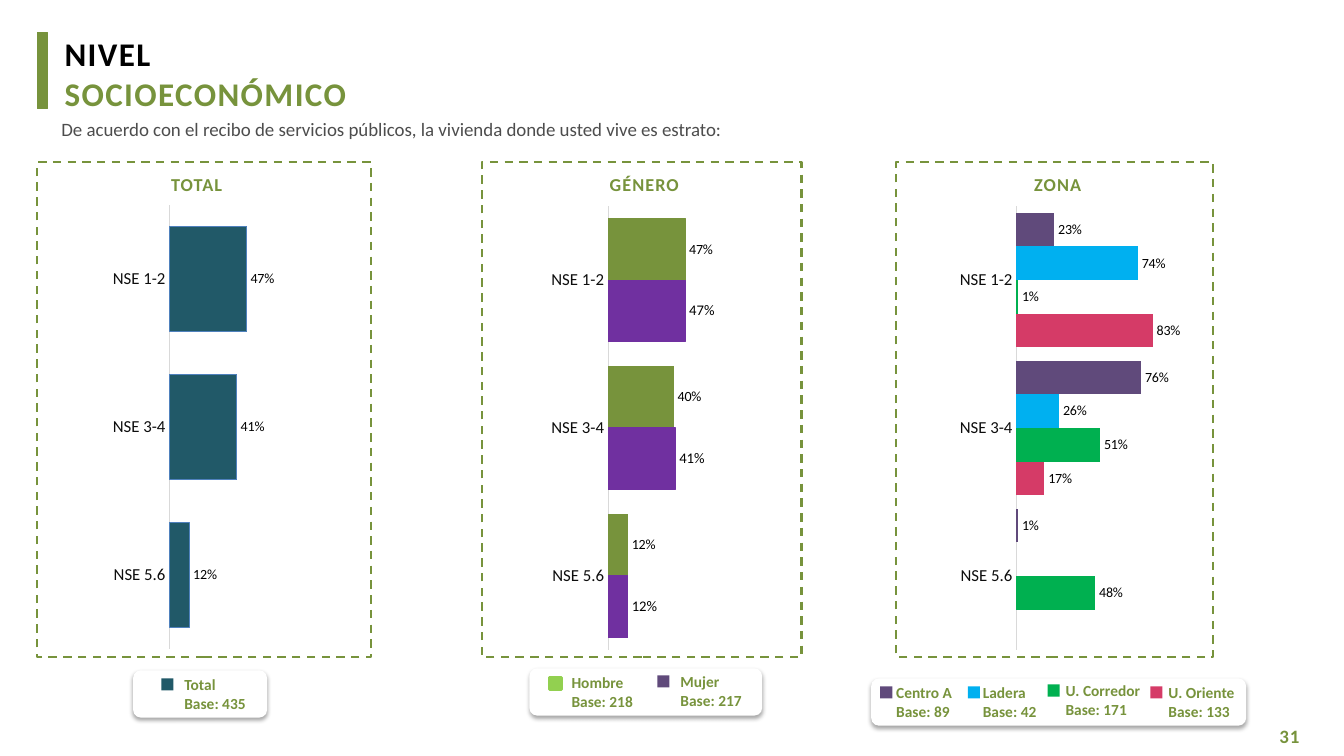
from lxml import etree
from pptx import Presentation
from pptx.chart.data import CategoryChartData
from pptx.dml.color import RGBColor
from pptx.enum.chart import XL_CHART_TYPE as ChartType, XL_LABEL_POSITION as LabelPosition
from pptx.enum.chart import XL_TICK_MARK as TickMark
from pptx.enum.dml import MSO_LINE_DASH_STYLE as DashStyle
from pptx.enum.shapes import MSO_SHAPE as Shape
from pptx.enum.text import MSO_ANCHOR as Anchor, MSO_AUTO_SIZE as AutoSize, PP_ALIGN as Align
from pptx.oxml import parse_xml
from pptx.oxml.ns import qn
from pptx.util import Inches, Pt

GREEN, PURPLE, TEAL = "77933C", "604A7B", "215968"
FONT = "Calibri"
PERCENT = "###0%"
CATEGORIES = ["NSE 1-2", "NSE 3-4", "NSE 5.6"]
PLOT_LAYOUT = {"x": 0.318, "y": 0.037, "w": 0.483, "h": 0.927}
DRAWING_NS = 'xmlns:a="http://schemas.openxmlformats.org/drawingml/2006/main"'
CHART_NS = 'xmlns:c="http://schemas.openxmlformats.org/drawingml/2006/chart"'

# Series: values, fill, outline, label size
# Legend entries: name, base, swatch colour, swatch outline, swatch (left, top), text box (left, top, width)
PANELS = [
    {"title": "TOTAL", "title_left": 0.77, "frame": (0.37, 3.31), "chart": (0.61, 1.86),
     "series": [((0.47, 0.41, 0.12), TEAL, "4F81BD", 10)],
     "legend": (1.32, 6.65, 1.33),
     "entries": [("Total", 435, TEAL, None, (1.6, 6.73), (1.73, 6.65, 0.82))]},
    {"title": "GÉNERO", "title_left": 5.21, "frame": (4.78, 3.17), "chart": (4.96, 1.87),
     "series": [((0.47, 0.40, 0.12), GREEN, GREEN, 10),
                ((0.47, 0.41, 0.12), "7030A0", "7030A0", 10.5)],
     "legend": (5.25, 6.63, 2.31),
     "entries": [("Hombre", 218, "92D050", "92D050", (5.45, 6.72), (5.57, 6.63, 0.82)),
                 ("Mujer", 217, PURPLE, None, (6.52, 6.7), (6.65, 6.62, 0.82))]},
    {"title": "ZONA", "title_left": 9.31, "frame": (8.89, 3.14), "chart": (9.01, 1.87),
     "series": [((0.23, 0.76, 0.01), PURPLE, None, 10),
                ((0.74, 0.26, None), "00B0F0", None, 10),
                ((0.01, 0.51, 0.48), "00B050", None, 10),
                ((0.83, 0.17, None), "D53B67", None, 10)],
     "legend": (8.64, 6.73, 3.72),
     "entries": [("Centro A", 89, PURPLE, None, (8.73, 6.81), (8.79, 6.73, 0.76)),
                 ("Ladera", 42, "00B0F0", None, (9.6, 6.81), (9.65, 6.73, 0.74)),
                 ("U. Corredor", 171, "00B050", None, (10.39, 6.79), (10.47, 6.71, 0.97)),
                 ("U. Oriente", 133, "D53B67", None, (11.41, 6.81), (11.49, 6.73, 0.89))]},
]


def color(hex_value):
    return RGBColor.from_string(hex_value)


def set_attributes(target, values):
    for name, value in values.items():
        setattr(target, name, value)


def set_font(font, size, hex_value, bold=False):
    set_attributes(font, {"name": FONT, "size": Pt(size), "bold": bold})
    font.color.rgb = color(hex_value)


def paint(target, fill=None, line=None, width=0.75):
    """Fill and outline a shape or a chart series."""
    if fill:
        target.fill.solid()
        target.fill.fore_color.rgb = color(fill)
    else:
        target.fill.background()
    if line:
        target.line.color.rgb = color(line)
        target.line.width = Pt(width)
    else:
        target.line.fill.background()


def write_lines(text_frame, lines, size, bold=False, spacing=0, before=0, align=Align.LEFT):
    """Write (text, colour) pairs, one paragraph each."""
    for index, (text, hex_value) in enumerate(lines):
        paragraph = text_frame.paragraphs[0] if index == 0 else text_frame.add_paragraph()
        set_attributes(paragraph, {"alignment": align, "space_before": Pt(before if index else 0)})
        run = paragraph.add_run()
        run.text = text
        set_font(run.font, size, hex_value, bold)
        if spacing:
            run.font._element.set("spc", str(round(spacing * 100)))


def format_plain_frame(text_frame):
    set_attributes(text_frame, {
        "margin_left": 0, "margin_right": 0, "margin_top": Inches(0.02), "margin_bottom": 0,
        "word_wrap": True, "vertical_anchor": Anchor.TOP, "auto_size": AutoSize.NONE})


def add_label(slide, box, text, size, hex_value, **text_format):
    text_box = slide.shapes.add_textbox(*map(Inches, box))
    format_plain_frame(text_box.text_frame)
    write_lines(text_box.text_frame, [(text, hex_value)], size, **text_format)


def add_block(shapes, kind, box, fill=None, line=None, width=0.75):
    shape = shapes.add_shape(kind, *map(Inches, box))
    shape.shadow.inherit = False
    paint(shape, fill, line, width)
    return shape


def add_title(slide):
    title = slide.shapes.title
    set_attributes(title, {"left": Inches(0.64), "top": Inches(0.31),
                           "width": Inches(5.6), "height": Inches(0.82)})
    format_plain_frame(title.text_frame)
    write_lines(title.text_frame, [("NIVEL", "000000"), ("SOCIOECONÓMICO", GREEN)],
                23.6, bold=True, spacing=1, before=0.7)


def add_legend(slide, box, entries):
    group = slide.shapes.add_group_shape()
    card = add_block(group.shapes, Shape.ROUNDED_RECTANGLE, (*box, 0.47), "FFFFFF")
    # Soft shadow straight below the card
    effects = card._element.spPr.find(qn("a:effectLst"))
    effects.append(parse_xml(
        f'<a:outerShdw {DRAWING_NS} blurRad="{Pt(3.1)}" dist="{Pt(1.8)}" dir="5400000" '
        'rotWithShape="0"><a:srgbClr val="000000"><a:alpha val="35000"/></a:srgbClr></a:outerShdw>'))
    for name, base, fill, line, swatch, text_place in entries:
        add_block(group.shapes, Shape.RECTANGLE, (*swatch, 0.12, 0.12), fill, line, 2)
        text_box = group.shapes.add_textbox(*map(Inches, (*text_place, 0.47)))
        set_attributes(text_box.text_frame, {"word_wrap": False,
                                             "auto_size": AutoSize.SHAPE_TO_FIT_TEXT})
        write_lines(text_box.text_frame, [(name, GREEN), (f"Base: {base}", GREEN)], 11, bold=True)


def set_plot_layout(chart):
    """Fix the inner plot area and leave the chart background clear."""
    chart_space = chart._chartSpace
    plot_area = chart_space.find(".//" + qn("c:plotArea"))
    for layout in plot_area.findall(qn("c:layout")):
        plot_area.remove(layout)
    layout = parse_xml(f'<c:layout {CHART_NS}><c:manualLayout><c:layoutTarget val="inner"/>'
                       '<c:xMode val="edge"/><c:yMode val="edge"/></c:manualLayout></c:layout>')
    for name, value in PLOT_LAYOUT.items():
        etree.SubElement(layout[0], qn(f"c:{name}")).set("val", str(value))
    plot_area.insert(0, layout)
    chart_space.find(qn("c:chart")).addnext(parse_xml(
        f'<c:spPr {CHART_NS} {DRAWING_NS}><a:noFill/><a:ln><a:noFill/></a:ln></c:spPr>'))


def add_bar_chart(slide, place, series_list):
    data = CategoryChartData(number_format=PERCENT)
    data.categories = CATEGORIES
    for number, (values, *_) in enumerate(series_list, 1):
        data.add_series(f"Series {number}", values)
    chart = slide.shapes.add_chart(ChartType.BAR_CLUSTERED,
                                   *map(Inches, (*place, 3.37, 4.75)), data).chart
    set_attributes(chart, {"has_legend": False, "has_title": False})
    set_font(chart.font, 10, "000000")
    set_plot_layout(chart)

    # Axes
    set_attributes(chart.value_axis, {"minimum_scale": 0, "maximum_scale": 1,
                                      "has_major_gridlines": False, "visible": False})
    axis = chart.category_axis
    set_attributes(axis, {"reverse_order": True, "has_major_gridlines": False,
                          "major_tick_mark": TickMark.NONE, "minor_tick_mark": TickMark.NONE})
    set_font(axis.tick_labels.font, 12, "0D0D0D")
    axis.format.line.color.rgb = color("D9D9D9")
    axis.format.line.width = Pt(0.75)

    # Bars and their labels
    plot = chart.plots[0]
    set_attributes(plot, {"gap_width": 40, "overlap": 0, "vary_by_categories": False})
    for series, (_, fill, line, label_size) in zip(plot.series, series_list):
        series.invert_if_negative = False
        paint(series.format, fill, line)
        labels = series.data_labels
        set_attributes(labels, {"show_value": True, "number_format": PERCENT,
                                "number_format_is_linked": False,
                                "position": LabelPosition.OUTSIDE_END})
        set_font(labels.font, label_size, "000000")


def add_panel(slide, panel):
    left, width = panel["frame"]
    frame = add_block(slide.shapes, Shape.RECTANGLE, (left, 1.61, width, 4.91), None, GREEN, 1.5)
    frame.line.dash_style = DashStyle.DASH
    add_label(slide, (panel["title_left"], 1.7, 2.36, 0.23), panel["title"], 13, GREEN,
              bold=True, spacing=0.8, align=Align.CENTER)
    add_bar_chart(slide, panel["chart"], panel["series"])
    add_legend(slide, panel["legend"], panel["entries"])


def main():
    presentation = Presentation()
    set_attributes(presentation, {"slide_width": Inches(13.33), "slide_height": Inches(7.5)})
    slide = presentation.slides.add_slide(presentation.slide_layouts[5])

    # Heading
    add_title(slide)
    add_block(slide.shapes, Shape.RECTANGLE, (0.37, 0.32, 0.1, 0.76), GREEN, GREEN)
    add_label(slide, (0.61, 1.15, 9.93, 0.24),
              "De acuerdo con el recibo de servicios públicos, la vivienda donde usted vive es estrato:",
              13.5, "4D4D4D")

    # Charts with frames and legends
    for panel in PANELS:
        add_panel(slide, panel)

    # Page number
    add_label(slide, (12.69, 7.17, 0.34, 0.24), "31", 13.5, GREEN, bold=True, spacing=0.6)
    presentation.save("out.pptx")


if __name__ == "__main__":
    main()
